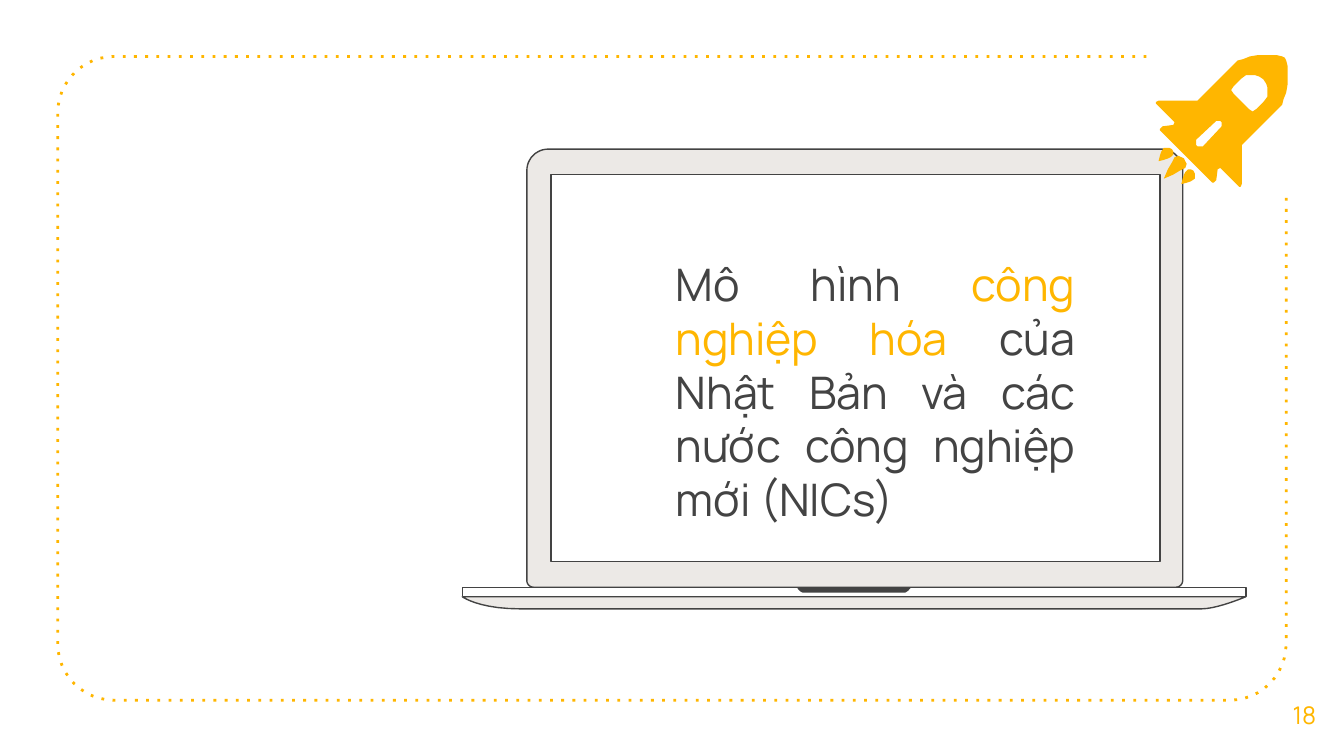
import math

import pptx
import pptx.dml.color
import pptx.enum.dml
import pptx.enum.text
import pptx.oxml.ns
import pptx.util

Inches = pptx.util.Inches
Pt = pptx.util.Pt
Align = pptx.enum.text.PP_ALIGN

AMBER = pptx.dml.color.RGBColor(0xFF, 0xB6, 0x00)
CHARCOAL = pptx.dml.color.RGBColor(0x43, 0x43, 0x43)
PEBBLE = pptx.dml.color.RGBColor(0xEC, 0xE9, 0xE6)
WHITE = pptx.dml.color.RGBColor(0xFF, 0xFF, 0xFF)

HULL = [
    (9.56, 0.43), (9.54, 0.42), (9.5, 0.41), (9.42, 0.41), (9.36, 0.41), (9.3, 0.42),
    (9.25, 0.44), (9.21, 0.45), (9.18, 0.48), (8.91, 0.75), (8.62, 0.75), (8.6, 0.76),
    (8.6, 0.77), (8.61, 0.78), (8.74, 0.91), (8.73, 0.93), (8.65, 0.94), (8.63, 0.96),
    (8.63, 0.97), (8.64, 0.98),
]
PORTHOLE = [
    (9.4, 0.59), (9.37, 0.57), (9.34, 0.56), (9.3, 0.56), (9.27, 0.56),
    (9.23, 0.59), (9.18, 0.64), (9.16, 0.67), (9.18, 0.7),
]
SLOT = [(9.08, 0.9), (9.06, 0.9), (9.05, 0.9), (8.9, 1.04), (8.9, 1.06), (8.9, 1.08)]
MAIN_FLAME = [
    (8.81, 1.18), (8.79, 1.17), (8.77, 1.16), (8.74, 1.17),
    (8.72, 1.21), (8.69, 1.26), (8.66, 1.33),
]
SIDE_FLAME = [
    (8.68, 1.1), (8.66, 1.1), (8.64, 1.13), (8.63, 1.16), (8.62, 1.2), (8.66, 1.19),
    (8.69, 1.18), (8.71, 1.17), (8.73, 1.15), (8.73, 1.13), (8.72, 1.11), (8.7, 1.1),
]


def arc(x, y, radius, start, steps=12):
    """Return points of a quarter turn, counter-clockwise from start degrees."""
    angles = [math.radians(start + 90 * i / steps) for i in range(steps + 1)]
    return [(x + radius * math.cos(a), y - radius * math.sin(a)) for a in angles]


def bezier(p0, p1, p2, p3, steps=10):
    """Return points along a cubic curve."""
    weights = [((1 - t) ** 3, 3 * t * (1 - t) ** 2, 3 * t * t * (1 - t), t ** 3)
               for t in (i / steps for i in range(steps + 1))]
    return [tuple(sum(w * p[axis] for w, p in zip(row, (p0, p1, p2, p3))) for axis in (0, 1))
            for row in weights]


def mirrored(points):
    """Reflect points across the diagonal axis of the rocket."""
    return [(9.99 - y, 9.99 - x) for x, y in reversed(points)]


def symmetric(half):
    """Complete a half outline with its reflection."""
    return half + mirrored(half)


def add_text(paragraph, text, *, size, color, font="Manrope"):
    """Add a formatted run to a paragraph."""
    run = paragraph.add_run()
    run.text = text
    run.font.name = font
    run.font.size = Pt(size)
    run.font.color.rgb = color


class SlideArtist:
    """Hold the style and the current slide."""

    def __init__(self, slide, outline=CHARCOAL, outline_width=0.75):
        self.slide = slide
        self.outline = outline
        self.outline_width = outline_width

    def outline_shape(self, *contours, fill=None, line=None, width=None, closed=True):
        """Draw one freeform made of the given contours."""
        builder = None
        for contour in contours:
            points = [(Inches(x), Inches(y)) for x, y in contour]
            if builder is None:
                builder = self.slide.shapes.build_freeform(*points[0])
            else:
                builder.move_to(*points[0])
            builder.add_line_segments(points[1:], close=closed)
        shape = builder.convert_to_shape()
        shape.shadow.inherit = False
        if fill is None:
            shape.fill.background()
        else:
            shape.fill.solid()
            shape.fill.fore_color.rgb = fill
        if line is None:
            shape.line.fill.background()
        else:
            shape.line.color.rgb = line
            shape.line.width = Pt(width or self.outline_width)
        return shape

    def dotted_path(self, points, color, width):
        """Draw an open dotted line."""
        border = self.outline_shape(points, line=color, width=width, closed=False)
        border.line.dash_style = pptx.enum.dml.MSO_LINE.ROUND_DOT
        border._element.find(".//" + pptx.oxml.ns.qn("a:prstDash")).set("val", "dot")

    def laptop_part(self, *contours, fill):
        """Draw an outlined piece of the laptop."""
        self.outline_shape(*contours, fill=fill, line=self.outline)

    def text_box(self, left, top, width, height, pieces, size, align, space_before=0):
        """Add a centred-in-height box with one paragraph of coloured pieces."""
        frame = self.slide.shapes.add_textbox(
            Inches(left), Inches(top), Inches(width), Inches(height)).text_frame
        frame.word_wrap = True
        frame.vertical_anchor = pptx.enum.text.MSO_ANCHOR.MIDDLE
        frame.margin_left = frame.margin_right = Inches(0.1)
        frame.margin_top = frame.margin_bottom = Inches(0.1)
        paragraph = frame.paragraphs[0]
        paragraph.alignment = align
        paragraph.space_before = Pt(space_before)
        for text, color in pieces:
            add_text(paragraph, text, size=size, color=color)


def main():
    """Build the slide and save it."""
    deck = pptx.Presentation()
    deck.slide_width, deck.slide_height = Inches(10), Inches(5.625)
    artist = SlideArtist(deck.slides.add_slide(deck.slide_layouts[6]))

    border = [(8.53, 0.42), *arc(0.85, 0.84, 0.42, 90), *arc(0.85, 4.79, 0.42, 180),
              *arc(9.15, 4.79, 0.42, 270), (9.57, 1.46)]
    artist.dotted_path(border, AMBER, 1.5)

    lid = [*arc(8.64, 1.27, 0.16, 0), *arc(4.08, 1.27, 0.16, 90),
           *arc(3.97, 4.32, 0.05, 180), *arc(8.75, 4.32, 0.05, 270)]
    screen = [(8.63, 4.18), (4.1, 4.18), (4.1, 1.3), (8.63, 1.3)]
    base = [*bezier((3.44, 4.44), (3.44, 4.44), (3.56, 4.53), (3.87, 4.53)),
            *bezier((8.94, 4.53), (9.06, 4.53), (9.27, 4.44), (9.27, 4.44))]
    deck_edge = [(3.44, 4.44), (9.27, 4.44), (9.27, 4.37), (3.44, 4.37)]
    notch = [*bezier((5.93, 4.37), (5.93, 4.37), (5.95, 4.41), (5.98, 4.41)),
             *bezier((6.73, 4.41), (6.75, 4.41), (6.78, 4.37), (6.78, 4.37))]
    artist.laptop_part(lid, screen, fill=PEBBLE)
    artist.laptop_part(base, fill=PEBBLE)
    artist.laptop_part(deck_edge, fill=WHITE)
    artist.outline_shape(notch, fill=CHARCOAL)

    artist.text_box(9.41, 5.02, 0.59, 0.6, [("18", AMBER)], 13, Align.CENTER)
    topic = [("Mô hình ", CHARCOAL), ("công nghiệp hóa ", AMBER),
             ("của Nhật Bản và các nước công nghiệp mới (NICs)", CHARCOAL)]
    artist.text_box(4.93, 1.2, 3.17, 3.42, topic, 24, Align.JUSTIFY, space_before=6)

    artist.outline_shape(symmetric(HULL), symmetric(PORTHOLE), symmetric(SLOT), fill=AMBER)
    for flame in (symmetric(MAIN_FLAME), mirrored(SIDE_FLAME), SIDE_FLAME):
        artist.outline_shape(flame, fill=AMBER)

    deck.save("out.pptx")


if __name__ == "__main__":
    main()
